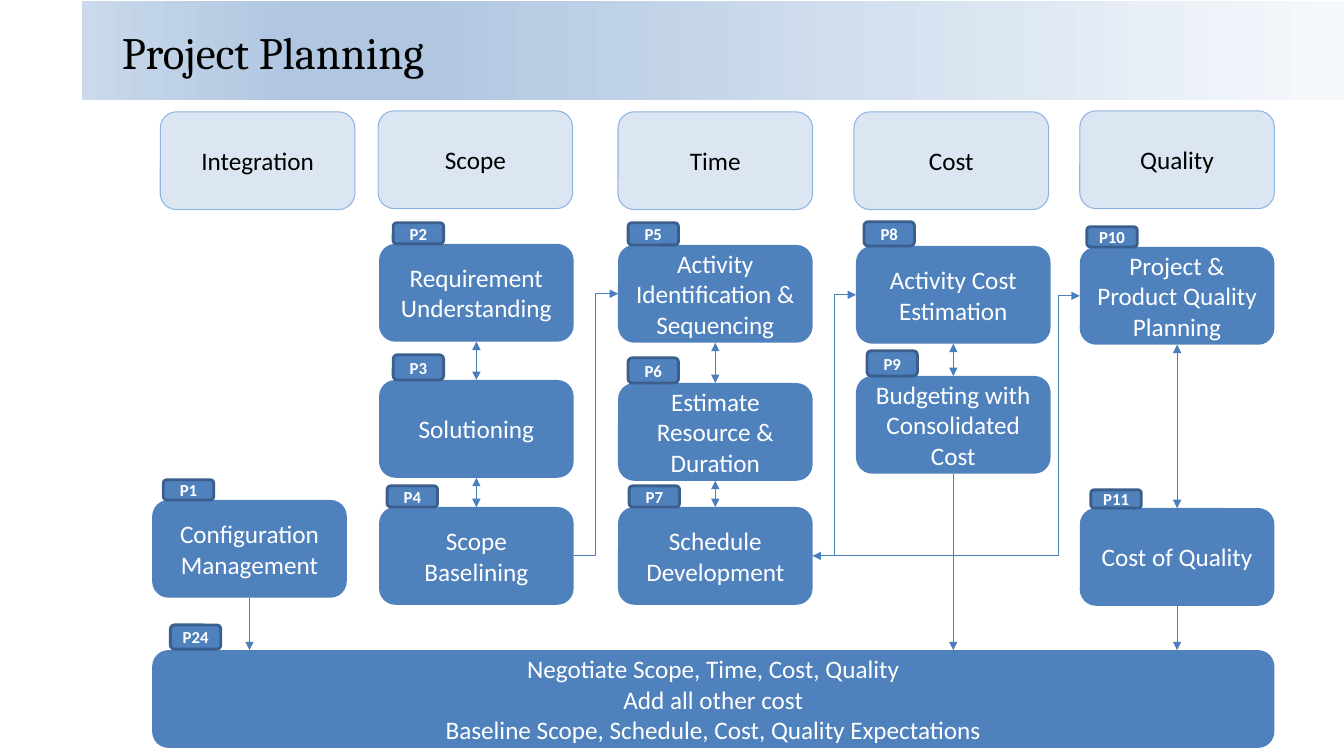
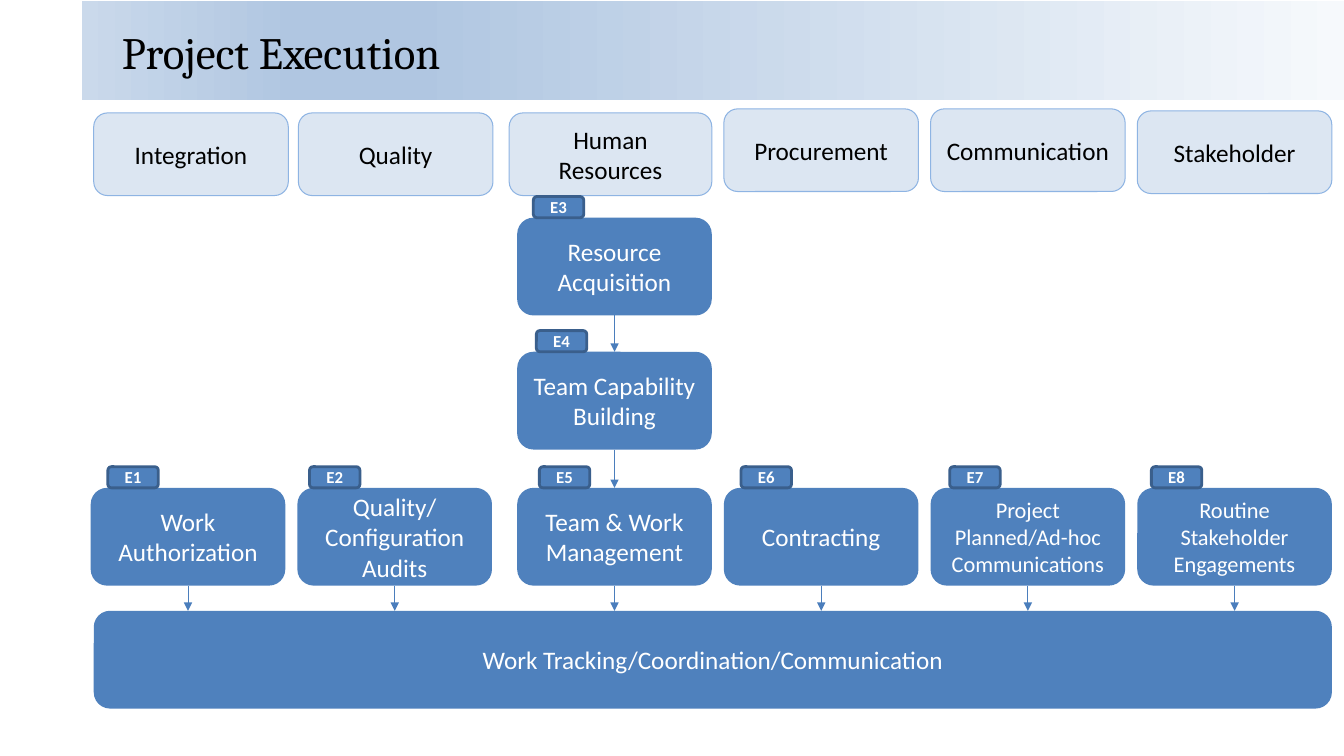
from lxml import etree
from pptx import Presentation
from pptx.dml.color import RGBColor
from pptx.enum.shapes import MSO_CONNECTOR, MSO_SHAPE
from pptx.enum.text import MSO_ANCHOR, PP_ALIGN
from pptx.oxml.ns import qn
from pptx.util import Inches, Pt

ROUND, RECT = MSO_SHAPE.ROUNDED_RECTANGLE, MSO_SHAPE.RECTANGLE
STRAIGHT, ELBOW = MSO_CONNECTOR.STRAIGHT, MSO_CONNECTOR.ELBOW
MIDDLE, CENTER = MSO_ANCHOR.MIDDLE, PP_ALIGN.CENTER

HEX = {
    "black": "000000", "white": "FFFFFF", "blue": "4F81BD", "wire": "4B7EBC",
    "navy": "3A5F8C", "pale": "DCE6F2", "sky": "8EB4E3",
}
FADE = [(0, "F6F9FC"), (74, "B0C6E1"), (83, "B0C6E1"), (100, "CAD9EB")]
STYLE = {
    "head": ("pale", "sky", 0.75, "black", False),
    "step": ("blue", None, 0, "white", False),
    "tag": ("blue", "navy", 2, "white", True),
}
WIDE, HIGH, TAG = 1.93, 0.97, 0.5

PLANS = [
    {
        "title": "Project Planning",
        "head_high": 0.97,
        "heads": [
            (1.59, 1.11, WIDE, "Integration"),
            (3.75, 1.1, WIDE, "Scope"),
            (6.13, 1.11, WIDE, "Time"),
            (8.47, 1.11, WIDE, "Cost"),
            (10.71, 1.1, WIDE, "Quality"),
        ],
        "cols": [1.51, 3.76, 6.13, 8.49, 10.71],
        "steps": [
            ("P1", 0, 4.96, 0.11, 0.2, 18, "Configuration Management"),
            ("P2", 1, 2.42, 0.14, 0.21, 18, "Requirement\nUnderstanding"),
            ("P3", 1, 3.77, 0.14, 0.25, 18, "Solutioning"),
            ("P4", 1, 5.03, 0.08, 0.21, 18, "Scope Baselining"),
            ("P5", 2, 2.43, 0.1, 0.22, 18, "Activity Identification & Sequencing"),
            ("P6", 2, 3.8, 0.1, 0.25, 18, "Estimate\nResource & Duration"),
            ("P7", 2, 5.03, 0.11, 0.21, 18, "Schedule Development"),
            ("P8", 3, 2.44, 0.08, 0.24, 18, "Activity Cost\nEstimation"),
            ("P9", 3, 3.73, 0.11, 0.25, 18, "Budgeting with Consolidated Cost"),
            ("P10", 4, 2.45, 0.07, 0.2, 18, "Project & Product Quality Planning"),
            ("P11", 4, 5.04, 0.11, 0.18, 18, "Cost of Quality"),
        ],
        "bar": (1.51, 6.45, 11.13, "Negotiate Scope, Time, Cost, Quality\nAdd all other cost\n"
                "Baseline Scope, Schedule, Cost, Quality Expectations"),
        "bar_tag": "P24",
        "pairs": [("P2", "P3"), ("P3", "P4"), ("P5", "P6"), ("P6", "P7"),
                  ("P8", "P9"), ("P10", "P11")],
        "both": True,
        "drops": ["P1", "P9", "P11"],
        "bends": [("P4", "P5"), ("P7", "P8")],
        "back": [("P10", "P7")],
    },
    {
        "title": "Project Execution",
        "head_high": 0.82,
        "heads": [
            (0.93, 1.12, WIDE, "Integration"),
            (2.96, 1.12, WIDE, "Quality"),
            (5.05, 1.12, 2.01, "Human Resources"),
            (7.18, 1.08, WIDE, "Procurement"),
            (9.23, 1.08, WIDE, "Communication"),
            (11.28, 1.1, WIDE, "Stakeholder"),
        ],
        "cols": [0.9, 2.95, 5.13, 7.18, 9.23, 11.28],
        "steps": [
            ("E1", 0, 4.84, 0.17, 0.21, 18, "Work Authorization"),
            ("E2", 1, 4.84, 0.12, 0.21, 18, "Quality/Configuration Audits"),
            ("E3", 2, 2.16, 0.16, 0.21, 18, "Resource Acquisition"),
            ("E4", 2, 3.49, 0.19, 0.21, 18, "Team Capability Building"),
            ("E5", 2, 4.84, 0.22, 0.21, 18, "Team & Work Management"),
            ("E6", 3, 4.84, 0.17, 0.21, 18, "Contracting"),
            ("E7", 4, 4.84, 0.19, 0.21, 16, "Project\vPlanned/Ad-hoc Communications"),
            ("E8", 5, 4.84, 0.14, 0.21, 16, "Routine Stakeholder Engagements"),
        ],
        "bar": (0.93, 6.06, 12.28, "Work Tracking/Coordination/Communication"),
        "bar_tag": None,
        "pairs": [("E3", "E4"), ("E4", "E5")],
        "both": False,
        "drops": ["E1", "E2", "E5", "E6", "E7", "E8"],
        "bends": [],
        "back": [],
    },
]


def box(slide, style, left, top, wide, high, text, size):
    fill, edge, weight, ink, bold = STYLE[style]
    shape = slide.shapes.add_shape(ROUND, *map(Inches, (left, top, wide, high)))
    shape.shadow.inherit = False
    shape.fill.solid()
    shape.fill.fore_color.rgb = RGBColor.from_string(HEX[fill])
    if edge:
        shape.line.color.rgb = RGBColor.from_string(HEX[edge])
        shape.line.width = Pt(weight)
    else:
        shape.line.fill.background()
    frame = shape.text_frame
    frame.text = text
    frame.word_wrap = True
    frame.vertical_anchor = MIDDLE
    if style == "tag":
        frame.margin_left = frame.margin_right = 0
    for para in frame.paragraphs:
        para.alignment = CENTER
        for run in para.runs:
            run.font.name = "Calibri"
            run.font.size = Pt(size)
            run.font.bold = bold
            run.font.color.rgb = RGBColor.from_string(HEX[ink])


def wire(slide, kind, start, end, both=False, bend=None):
    line = slide.shapes.add_connector(kind, *map(Inches, start + end))
    line.line.color.rgb = RGBColor.from_string(HEX["wire"])
    line.line.width = Pt(0.75)
    props = line._element.spPr
    edge = props.find(qn("a:ln"))
    for tip in ["a:headEnd", "a:tailEnd"] if both else ["a:tailEnd"]:
        etree.SubElement(edge, qn(tip), type="triangle")
    etree.SubElement(props, qn("a:effectLst"))
    if bend:
        guides = props.find(qn("a:prstGeom")).find(qn("a:avLst"))
        etree.SubElement(guides, qn("a:gd"), name="adj1", fmla=f"val {bend}")


deck = Presentation()
deck.slide_width, deck.slide_height = Inches(13.33), Inches(7.5)

for plan in PLANS:
    slide = deck.slides.add_slide(deck.slide_layouts[6])

    band = slide.shapes.add_shape(RECT, *map(Inches, (0.81, 0.01, 12.52, 0.98)))
    band.shadow.inherit = False
    band.line.fill.background()
    band.fill.gradient()
    band.fill.gradient_angle = 180
    stops = band._element.spPr.find(qn("a:gradFill")).find(qn("a:gsLst"))
    for stop in list(stops):
        stops.remove(stop)
    for share, color in FADE:
        stop = etree.SubElement(stops, qn("a:gs"), pos=str(share * 1000))
        etree.SubElement(stop, qn("a:srgbClr"), val=color)

    title = slide.shapes.add_textbox(*map(Inches, (1.11, 0.06, 11.78, 0.91)))
    frame = title.text_frame
    frame.text = plan["title"]
    frame.word_wrap = True
    frame.vertical_anchor = MIDDLE
    font = frame.paragraphs[0].runs[0].font
    font.name, font.size = "Cambria", Pt(32)
    font.color.rgb = RGBColor.from_string(HEX["black"])

    for left, top, wide, text in plan["heads"]:
        box(slide, "head", left, top, wide, plan["head_high"], text, 18)

    spots, tags = {}, []
    for tag, col, top, shift, high, size, text in plan["steps"]:
        left = plan["cols"][col]
        spots[tag] = (left, top)
        tags.append((left + shift, top - high, high, tag))
        box(slide, "step", left, top, WIDE, HIGH, text, size)

    left, floor, wide, text = plan["bar"]
    box(slide, "step", left, floor, wide, HIGH, text, 18)
    if plan["bar_tag"]:
        tags.append((left + 0.18, floor - 0.25, 0.24, plan["bar_tag"]))

    falls = [(a, spots[b][1], plan["both"]) for a, b in plan["pairs"]]
    falls += [(a, floor, False) for a in plan["drops"]]
    for tag, end, both in falls:
        left, top = spots[tag]
        mid = left + WIDE / 2
        wire(slide, STRAIGHT, (mid, top + HIGH), (mid, end), both)

    for a, b in plan["bends"]:
        (left, top), (goal, rise) = spots[a], spots[b]
        wire(slide, ELBOW, (left + WIDE, top + HIGH / 2), (goal, rise + HIGH / 2))
    for a, b in plan["back"]:
        (left, top), (goal, rise) = spots[a], spots[b]
        wire(slide, ELBOW, (left, top + HIGH / 2), (goal + WIDE, rise + HIGH / 2), True, 7900)

    for left, top, high, tag in tags:
        box(slide, "tag", left, top, TAG, high, tag, 12)

deck.save("out.pptx")
